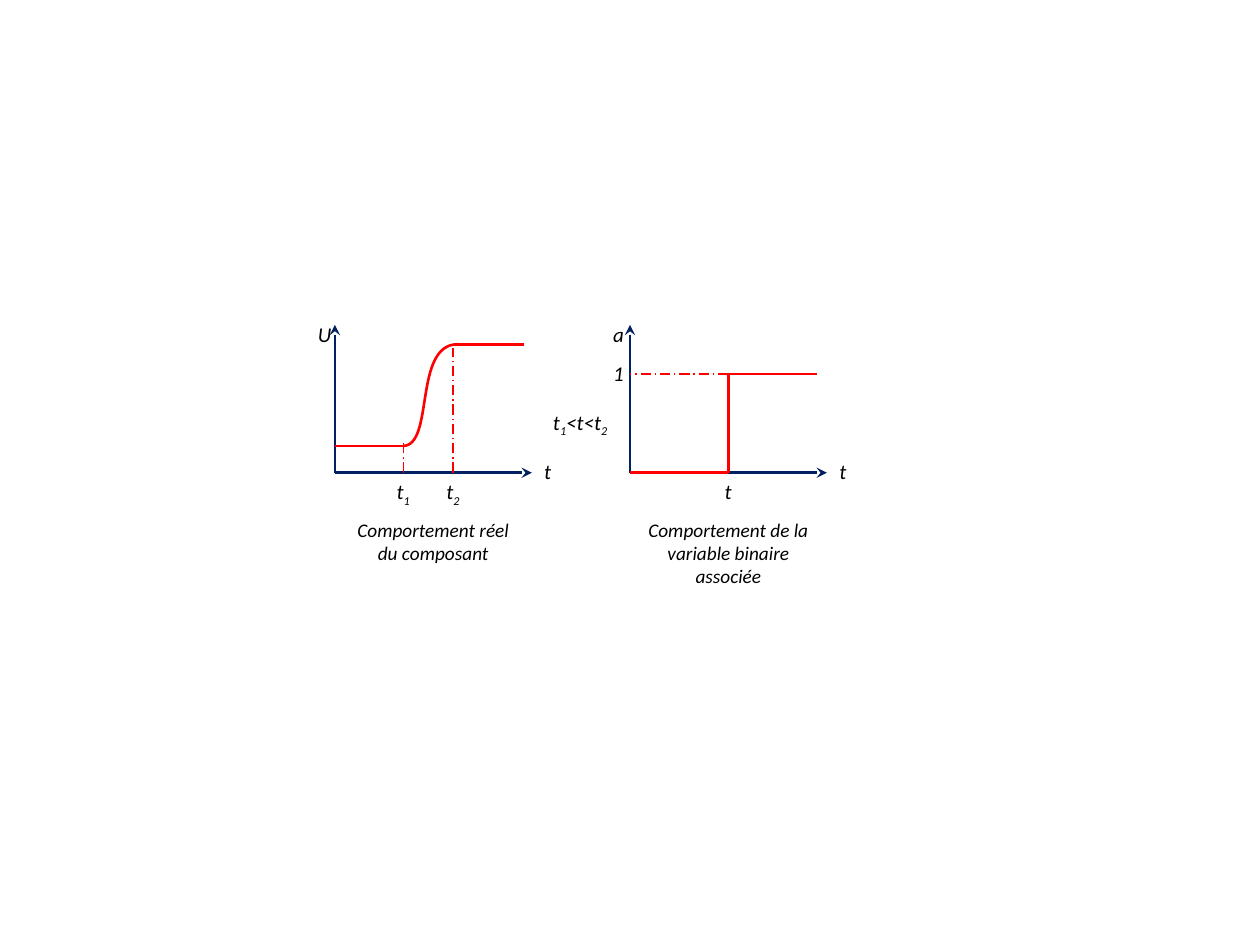
from lxml.etree import SubElement
from pptx import Presentation
from pptx.dml.color import RGBColor
from pptx.enum.dml import MSO_LINE as Dash
from pptx.enum.shapes import MSO_CONNECTOR as Connector
from pptx.enum.text import MSO_AUTO_SIZE as AutoSize, PP_ALIGN as Align
from pptx.oxml.ns import qn
from pptx.util import Cm, Pt

NAVY = RGBColor(0x00, 0x20, 0x60)
RED = RGBColor(0xFF, 0x00, 0x00)
BLACK = RGBColor(0x00, 0x00, 0x00)

# Shared geometry of the two graphs, in cm
LEFT_X, RIGHT_X = 6.75, 12.7
AXIS_Y, AXIS_TOP, AXIS_LENGTH = 9.53, 6.55, 3.97
LABEL_WIDTH, TICK_WIDTH, LABEL_HEIGHT = 0.59, 0.8, 0.77


class Sketch:
    """Style and drawing target for the slide."""

    font_name = "Calibri"

    def __init__(self, page):
        self.page = page
        self.shapes = page.shapes

    def start_group(self):
        self.shapes = self.page.shapes.add_group_shape().shapes

    def end_group(self):
        self.shapes = self.page.shapes

    def line(self, start, end, color=RED, width=1.5, dash=None, arrow=False):
        points = [Cm(value) for value in (*start, *end)]
        line = self.shapes.add_connector(Connector.STRAIGHT, *points)
        line.line.color.rgb = color
        line.line.width = Pt(width)
        if dash:
            line.line.dash_style = dash
        properties = line._element.spPr
        if arrow:
            SubElement(properties.find(qn("a:ln")), qn("a:tailEnd"), type="stealth")
        SubElement(properties, qn("a:effectLst"))

    def guide(self, start, end):
        self.line(start, end, width=0.75, dash=Dash.LONG_DASH_DOT)

    def curve(self, start, *controls_and_end):
        """Draw one cubic Bézier segment."""
        points = [(Cm(x), Cm(y)) for x, y in controls_and_end]
        builder = self.shapes.build_freeform(Cm(start[0]), Cm(start[1]))
        builder.add_line_segments(points, close=False)
        shape = builder.convert_to_shape()
        shape.shadow.inherit = False
        shape.fill.background()
        shape.line.color.rgb = RED
        shape.line.width = Pt(1.5)
        outline = next(shape._element.iter(qn("a:path")))
        bezier = SubElement(outline, qn("a:cubicBezTo"))
        for segment in outline.findall(qn("a:lnTo")):
            bezier.append(segment[0])
            outline.remove(segment)

    def text(self, left, top, width, height, *parts, size=12):
        """Write centred italic text; a part starting with "_" is a subscript."""
        box = self.shapes.add_textbox(Cm(left), Cm(top), Cm(width), Cm(height))
        frame = box.text_frame
        frame.word_wrap = True
        frame.auto_size = AutoSize.SHAPE_TO_FIT_TEXT
        para = frame.paragraphs[0]
        para.alignment = Align.CENTER
        para.font.name = self.font_name
        para.font.size = Pt(size)
        para.font.italic = True
        para.font.color.rgb = BLACK
        for part in parts:
            span = para.add_run()
            span.text = part.removeprefix("_")
            if part.startswith("_"):
                span._r.get_or_add_rPr().set("baseline", "-25000")

    def axes(self, x, name):
        origin = (x, AXIS_Y)
        self.line(origin, (x, AXIS_TOP), NAVY, arrow=True)
        self.line(origin, (x + AXIS_LENGTH, AXIS_Y), NAVY, arrow=True)
        self.text(x - LABEL_WIDTH, 6.35, LABEL_WIDTH, LABEL_HEIGHT, name)
        self.text(x + AXIS_LENGTH, 9.12, LABEL_WIDTH, LABEL_HEIGHT, "t")

    def tick(self, x, *parts):
        self.text(x - TICK_WIDTH / 2, AXIS_Y, TICK_WIDTH, LABEL_HEIGHT, *parts)

    def caption(self, x, height, wording):
        self.text(x, 10.32, AXIS_LENGTH, height, wording, size=11)


def main():
    deck = Presentation()
    deck.slide_width, deck.slide_height = Cm(25.4), Cm(19.05)
    sketch = Sketch(deck.slides.add_slide(deck.slide_layouts[6]))

    # Real behaviour: smooth rise between t1 and t2
    t1, t2 = 8.13, 9.13
    low, high = 8.99, 6.94
    sketch.axes(LEFT_X, "U")
    sketch.curve((t1, low), (8.76, 8.97), (8.33, 6.96), (9.22, high))
    sketch.line((t1, low), (LEFT_X, low))
    sketch.line((10.57, high), (9.17, high))
    for x, top, index in ((t1, 8.94, "_1"), (t2, 7.01, "_2")):
        sketch.guide((x, AXIS_Y), (x, top))
        sketch.tick(x, "t", index)

    # Binary variable: step at t
    step, one = 14.68, 7.54
    sketch.start_group()
    sketch.axes(RIGHT_X, "a")
    sketch.line((step, AXIS_Y), (RIGHT_X, AXIS_Y))
    sketch.line((16.46, one), (step, one))
    sketch.tick(step, "t")
    sketch.line((step, one), (step, AXIS_Y))
    sketch.text(RIGHT_X - LABEL_WIDTH, 7.14, LABEL_WIDTH, LABEL_HEIGHT, "1")
    sketch.end_group()
    sketch.text(10.31, 8.13, 2.77, LABEL_HEIGHT, "t", "_1", "<t<t", "_2")
    sketch.guide((step, one), (RIGHT_X, one))

    # Captions
    sketch.caption(LEFT_X, 1.19, "Comportement réel du composant")
    sketch.caption(RIGHT_X, 1.68, "Comportement de la variable binaire associée")

    deck.save("out.pptx")


if __name__ == "__main__":
    main()
